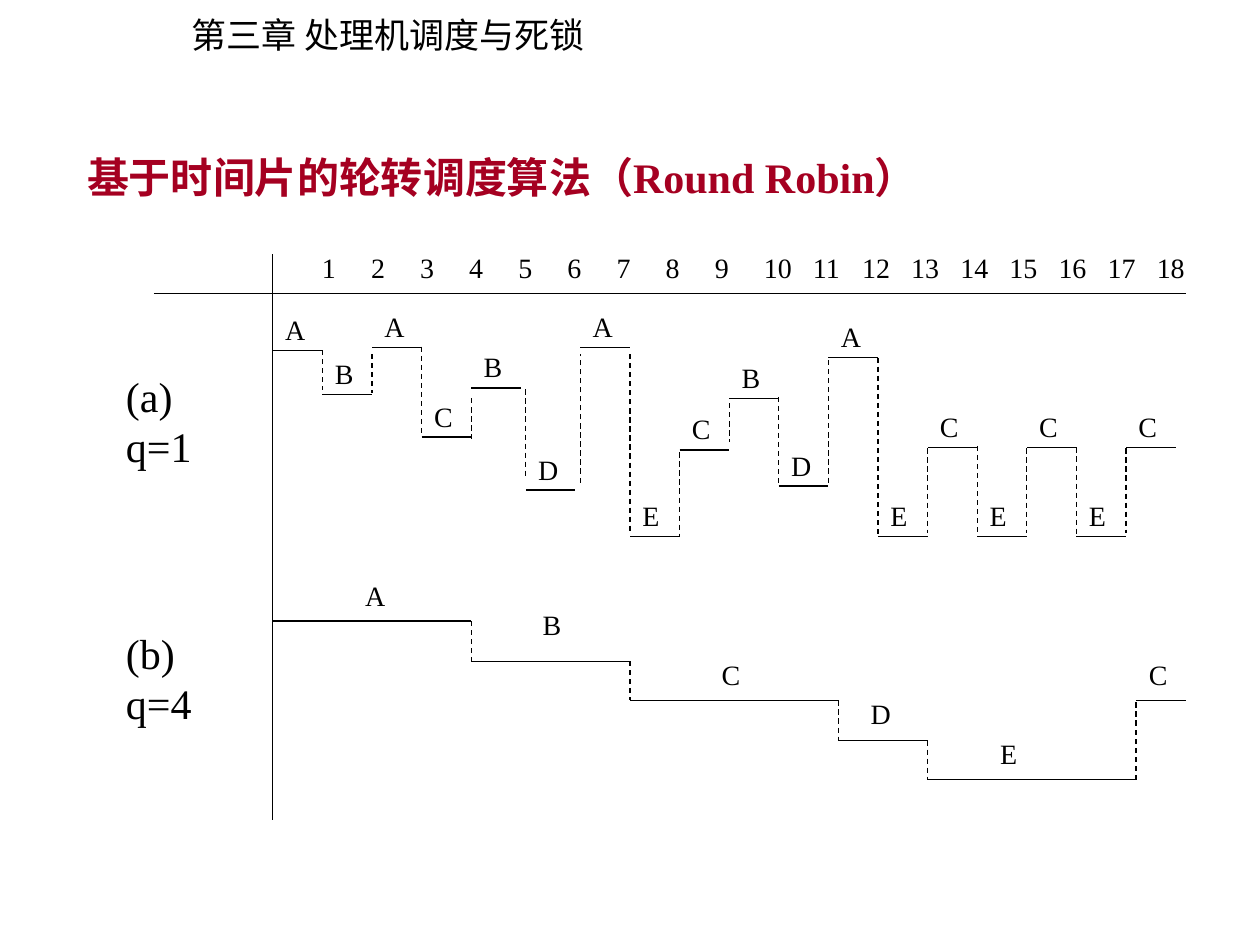
from dataclasses import dataclass
from lxml.etree import SubElement
from pptx import Presentation
from pptx.dml.color import RGBColor
from pptx.enum.dml import MSO_LINE
from pptx.enum.shapes import MSO_CONNECTOR
from pptx.enum.text import MSO_ANCHOR, MSO_AUTO_SIZE, PP_ALIGN
from pptx.oxml.ns import qn
from pptx.util import Cm, Pt


@dataclass(frozen=True)
class Theme:
    """Colours, fonts and sizes of the slide."""
    ink: RGBColor = RGBColor(0x00, 0x00, 0x00)
    red: RGBColor = RGBColor(0xA5, 0x00, 0x21)
    serif: str = "Times New Roman"
    sans: str = "Noto Sans CJK JP"
    big: int = 24
    mid: int = 20
    small: int = 16
    line: float = 0.75


THEME = Theme()
START, SLOT, TICK = 5.5, 1, 0.99

SHORT = [
    ("A", 7.06, None),
    ("B", 7.95, (7.06, 7.87)),
    ("A", 7.01, (7.14, 7.92)),
    ("C", 8.81, (6.99, 8.79)),
    ("B", 7.82, (8.03, 8.84)),
    ("D", 9.88, (7.85, 9.65)),
    ("A", 7.01, (9.73, 7.14)),
    ("E", 10.82, (7.14, 10.72)),
    ("C", 9.07, (9.12, 10.82)),
    ("B", 8.03, (8.13, 8.92)),
    ("D", 9.8, (8, 9.8)),
    ("A", 7.21, (7.26, 9.73)),
    ("E", 10.82, (7.21, 10.82)),
    ("C", 9.02, (9.04, 10.74)),
    ("E", 10.82, (8.99, 10.8)),
    ("C", 9.02, (9.04, 10.74)),
    ("E", 10.82, (9.02, 10.82)),
    ("C", 9.02, (9.04, 10.74)),
]

LONG = [
    ("A", 5.5, 9.5, 12.52, 7.11, 11.53),
    ("B", 9.5, 12.7, 13.33, 10.69, 12.12),
    ("C", 12.7, 16.9, 14.12, 14.3, 13.13),
    ("D", 16.9, 18.7, 14.93, 17.3, 13.92),
    ("E", 18.7, 22.9, 15.72, 19.91, 14.73),
    ("C", 22.9, 23.9, 14.12, 22.91, 13.13),
]


def style(frame, size, color=THEME.ink, font=THEME.serif, bold=False):
    """Format every run in a text frame."""
    for para in frame.paragraphs:
        for run in para.runs:
            run.font.name, run.font.size = font, Pt(size)
            run.font.color.rgb, run.font.bold = color, bold
            ea = SubElement(run.font._element, qn("a:ea"))
            ea.set("typeface", THEME.sans)


def add_text(shapes, text, box, size, font=THEME.serif, wrap=True):
    """Add a text box and return its frame."""
    frame = shapes.add_textbox(*map(Cm, box)).text_frame
    frame.text = text
    frame.word_wrap = wrap
    frame.auto_size = MSO_AUTO_SIZE.SHAPE_TO_FIT_TEXT
    style(frame, size, font=font)
    return frame


def add_line(shapes, x1, y1, x2, y2, dash=False):
    """Add a thin straight line, solid or dashed."""
    line = shapes.add_connector(
        MSO_CONNECTOR.STRAIGHT, Cm(x1), Cm(y1), Cm(x2), Cm(y2))
    line.line.color.rgb = THEME.ink
    line.line.width = Pt(THEME.line)
    if dash:
        line.line.dash_style = MSO_LINE.DASH
    SubElement(line.element.spPr, qn("a:effectLst"))


def add_mark(shapes, name, x, y):
    """Add the letter of a process."""
    add_text(shapes, name, (x, y, 0.81, 0.94), THEME.small)


def add_title(slide, text):
    """Fill and place the title."""
    title = slide.shapes.title
    title.left, title.top, title.width, title.height = map(
        Cm, (1.5, 2.92, 20.19, 1.27))
    frame = title.text_frame
    frame.text = text
    frame.auto_size = MSO_AUTO_SIZE.NONE
    frame.vertical_anchor = MSO_ANCHOR.MIDDLE
    frame.paragraphs[0].alignment = PP_ALIGN.LEFT
    style(frame, THEME.big, THEME.red, bold=True)


def add_scale(shapes):
    """Draw the axes and the time numbers."""
    add_line(shapes, 3.1, 5.92, 23.9, 5.92)
    add_line(shapes, START, 5.13, START, 16.54)
    text = "\t".join(str(n) for n in range(1, 19))
    frame = add_text(shapes, text, (6.24, 4.93, 18.45, 0.94), THEME.small)
    props = frame.paragraphs[0]._p.get_or_add_pPr()
    tabs = SubElement(props, qn("a:tabLst"))
    for n in range(1, 18):
        SubElement(tabs, qn("a:tab"), pos=str(Cm(n * TICK)), algn="l")


def slot_left(n):
    """Return the left edge of a short slot."""
    shift = 0 if n < 5 else 0.1 if n == 5 else 0.2
    return START + n * SLOT + shift


def add_short(shapes):
    """Draw the schedule with a time slice of one."""
    for n, (name, y, drop) in enumerate(SHORT):
        x = slot_left(n)
        group = shapes.add_group_shape().shapes
        add_line(group, x, y, x + SLOT, y)
        add_mark(group, name, x, y - 0.89)
        if drop:
            add_line(shapes, x, drop[0], x, drop[1], dash=True)


def add_long(shapes):
    """Draw the schedule with a time slice of four."""
    last = None
    for name, x1, x2, y, left, top in LONG:
        add_line(shapes, x1, y, x2, y)
        add_mark(shapes, name, left, top)
        if last:
            add_line(shapes, x1, last, x1, y, dash=True)
        last = y


def main():
    """Build and save the slide."""
    deck = Presentation()
    deck.slide_width, deck.slide_height = Cm(25.4), Cm(19.05)
    slide = deck.slides.add_slide(deck.slide_layouts[5])
    shapes = slide.shapes
    add_text(shapes, "第三章 处理机调度与死锁", (3.61, 0.15, 8.59, 1.12),
             THEME.mid, THEME.sans, wrap=False)
    add_title(slide, "基于时间片的轮转调度算法（Round Robin）")
    add_scale(shapes)
    for text, top in (("(a) q=1", 7.34), ("(b) q=4", 12.52)):
        add_text(shapes, text, (2.29, top, 2.59, 2.29), THEME.big)
    add_short(shapes)
    add_long(shapes)
    deck.save("out.pptx")


if __name__ == "__main__":
    main()
